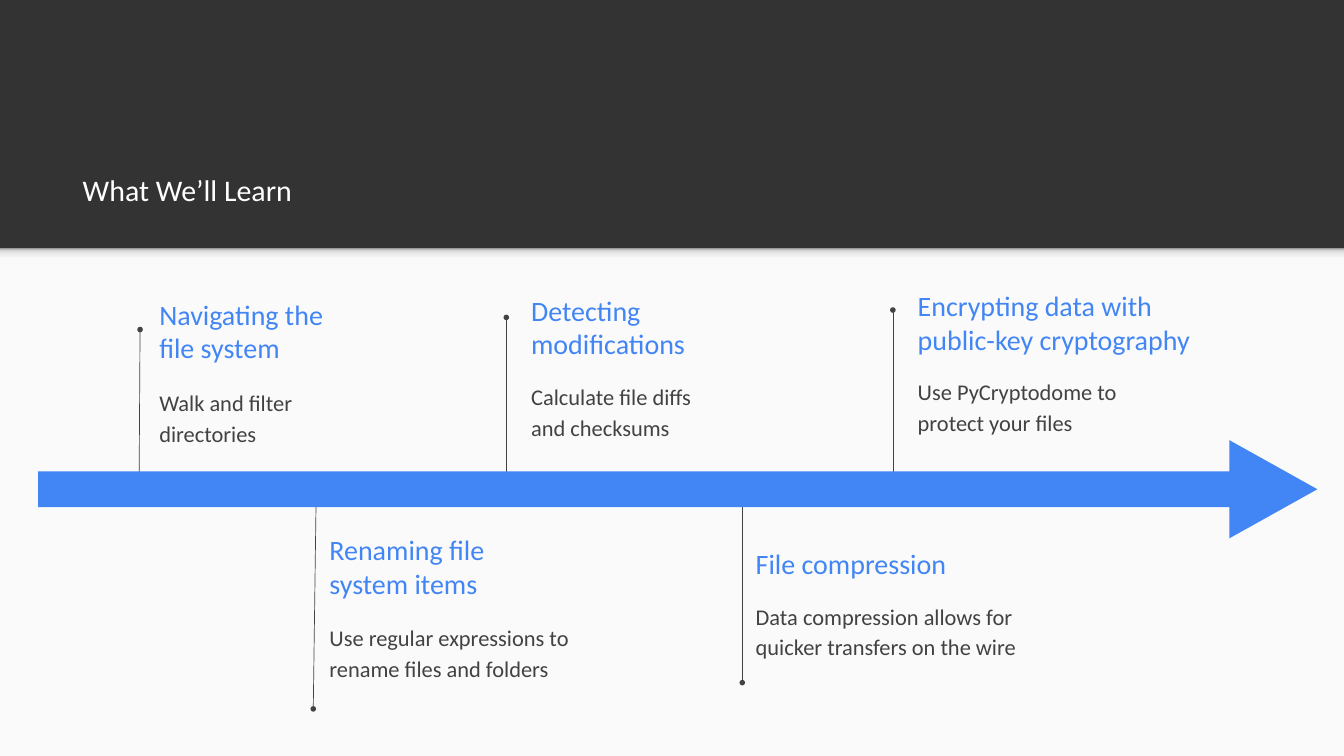
from copy import deepcopy

from pptx import Presentation
from pptx import util as u
from pptx.dml.color import RGBColor
from pptx.enum import shapes, text
from pptx.oxml.ns import qn
from lxml import etree

WIDTH, HEIGHT = 1439.28, 809.28
HORIZON = 265.5  # where the dark header meets the light panel


def color(hex_value):
    return RGBColor.from_string(hex_value)


class TimelineSlide:
    DARK, LIGHT, BLUE, GREY, WHITE = "333333", "FAFAFA", "4285F4", "424242", "FFFFFF"
    FONT, INSET = "Calibri", 14.4

    def __init__(self, deck):
        self.slide = deck.slides.add_slide(deck.slide_layouts[6])
        background = self.slide.background.fill
        background.solid()
        background.fore_color.rgb = color(self.DARK)

    def block(self, kind, box, fill, parent=None):
        owner = parent or self.slide
        block = owner.shapes.add_shape(kind, *map(u.Pt, box))
        block.shadow.inherit = False
        block.line.fill.background()
        block.fill.solid()
        block.fill.fore_color.rgb = color(fill)
        return block

    def fade(self, box, stops):
        fade = self.block(shapes.MSO_SHAPE.RECTANGLE, box, self.LIGHT)
        fade.fill.gradient()
        fade.fill.gradient_angle = 90
        first = fade._element.spPr.find(".//" + qn("a:gs"))
        for _ in stops[2:]:
            first.addnext(deepcopy(first))
        for stop, (position, shade) in zip(fade.fill.gradient_stops, stops):
            stop.position = position
            stop.color.rgb = color(shade)

    def label(self, box, lines, size, shade, anchor, spacing=1.0):
        frame = self.slide.shapes.add_textbox(*map(u.Pt, box)).text_frame
        layout = {"word_wrap": True, "vertical_anchor": anchor}
        for side in ("left", "top", "right", "bottom"):
            layout["margin_" + side] = u.Pt(self.INSET)
        for name, value in layout.items():
            setattr(frame, name, value)
        for index, line in enumerate(lines):
            paragraph = frame.add_paragraph() if index else frame.paragraphs[0]
            paragraph.line_spacing = spacing
            run = paragraph.add_run()
            run.text = line
            for name, value in {"name": self.FONT, "size": u.Pt(size)}.items():
                setattr(run.font, name, value)
            run.font.color.rgb = color(shade)

    def stem(self, start, end):
        stem = self.slide.shapes.add_connector(
            shapes.MSO_CONNECTOR.STRAIGHT, *map(u.Pt, start + end))
        stem.line.width = u.Pt(0.75)
        stem.line.color.rgb = color(self.GREY)
        properties = stem._element.spPr
        etree.SubElement(properties.find(qn("a:ln")), qn("a:tailEnd"), type="oval")
        etree.SubElement(properties, qn("a:effectLst"))

    def topic(self, start, end, left, heading, detail):
        self.stem(start, end)
        top, width, lines = heading
        self.label((left, top, width, 62), lines, 30, self.BLUE,
                   text.MSO_ANCHOR.MIDDLE)
        top, width, sentence = detail
        self.label((left, top, width, 91.5), [sentence], 24, self.GREY,
                   text.MSO_ANCHOR.TOP, 1.15)

    def arrow(self, bar, head):
        arrow = self.slide.shapes.add_group_shape()
        tip = self.block(shapes.MSO_SHAPE.ISOSCELES_TRIANGLE, head, self.BLUE, arrow)
        tip.rotation = 90
        self.block(shapes.MSO_SHAPE.RECTANGLE, bar, self.BLUE, arrow)


# Each topic: stem start, stem end, text left,
# (heading top, width, lines), (detail top, width, sentence)
TOPICS = [
    ((149, 515.5), (150, 352.8), 156.2,
     (323.3, 350.6, ["Navigating the", "file system"]),
     (397.4, 261.4, "Walk and filter directories")),
    ((338.4, 542.2), (335.5, 758.9), 338.4,
     (575.3, 261.4, ["Renaming file system items"]),
     (649.4, 311.8, "Use regular expressions to rename files and folders")),
    ((542.2, 522), (542.2, 339.8), 554.4,
     (319, 324, ["Detecting", "modifications"]),
     (391, 217.4, "Calculate file diffs and checksums")),
    ((794.9, 519.1), (794.9, 730.8), 794.9,
     (572.4, 311.8, ["File compression"]),
     (626.4, 350.6, "Data compression allows for quicker transfers on the wire")),
    ((956.2, 514.1), (956.2, 331.9), 968.4,
     (313.9, 350.6, ["Encrypting data with", "public-key cryptography"]),
     (385.9, 294.5, "Use PyCryptodome to protect your files")),
]


def main():
    deck = Presentation()
    deck.slide_width, deck.slide_height = u.Pt(WIDTH), u.Pt(HEIGHT)
    page = TimelineSlide(deck)

    # Light panel with a soft shadow under the header
    page.block(shapes.MSO_SHAPE.RECTANGLE,
               (0, HORIZON, WIDTH, HEIGHT - HORIZON), page.LIGHT)
    page.fade((0, HORIZON, WIDTH, 17.3),
              [(0, "F9F9F9"), (0.36, "F9F9F9"), (0.8, "DEDEDE"), (1, "999999")])

    # Header
    page.label((74.2, 115.9, 1294.6, 121), ["What We’ll Learn"], 32, page.WHITE,
               text.MSO_ANCHOR.BOTTOM)

    # Topics, then the arrow that covers the stem ends
    for topic in TOPICS:
        page.topic(*topic)
    page.arrow(bar=(41, 504.7, 1293.1, 38.2), head=(1311.1, 476.6, 105.1, 94.3))

    deck.save("out.pptx")


if __name__ == "__main__":
    main()
